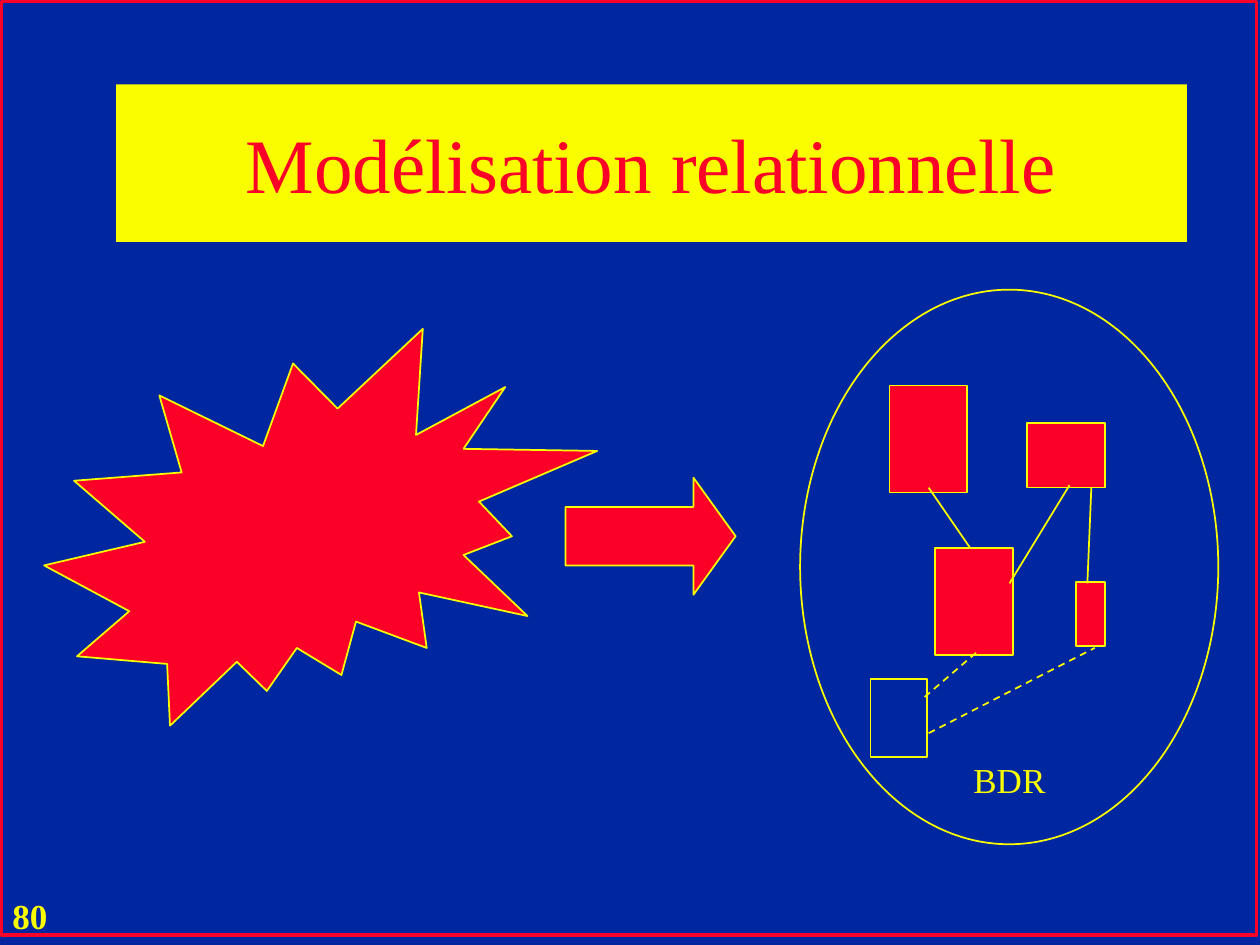
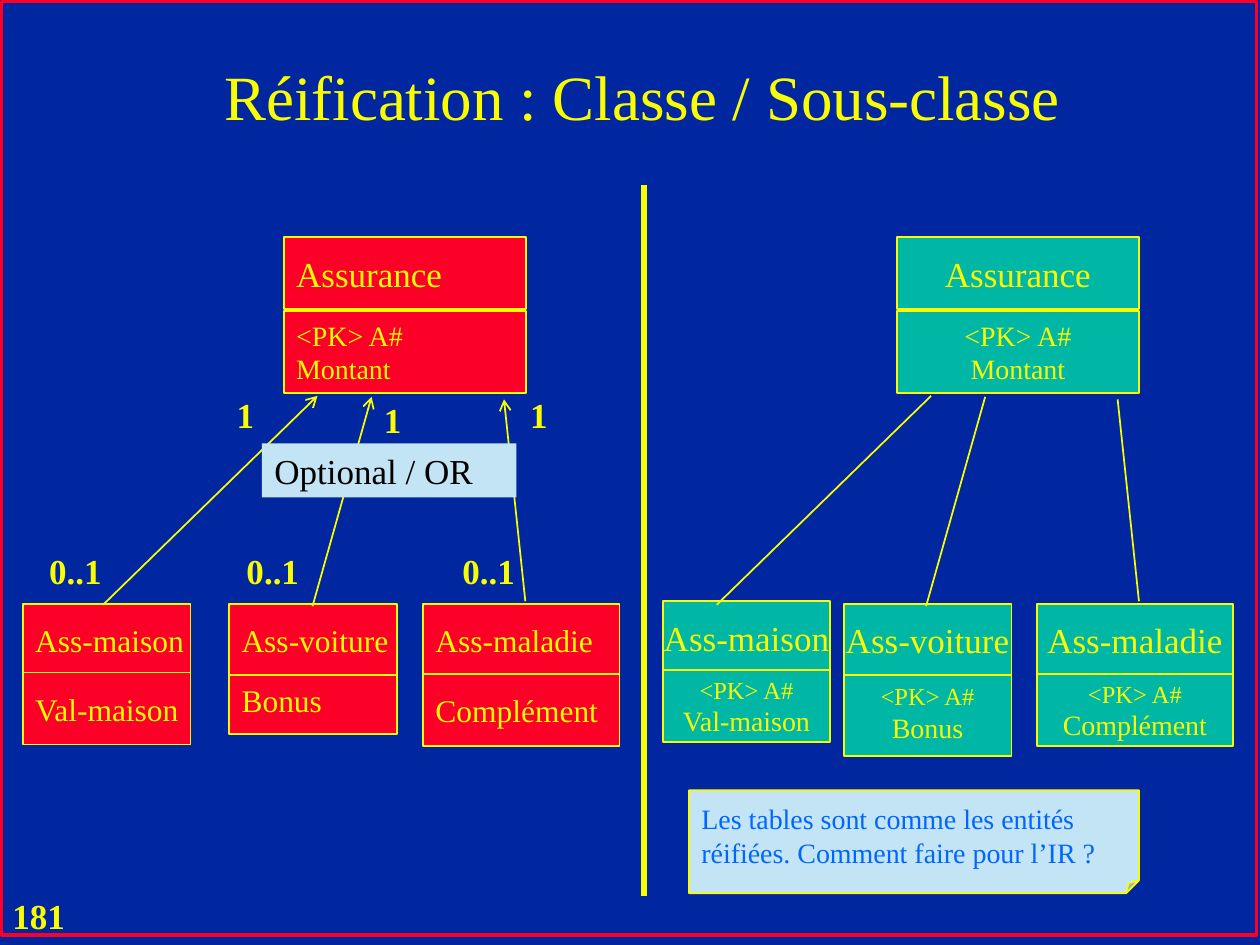
from dataclasses import dataclass
from typing import NamedTuple, Optional

from lxml import etree
from pptx import Presentation
from pptx import util as u
from pptx.dml.color import RGBColor
from pptx.enum import dml, shapes, text
from pptx.oxml import ns


@dataclass(frozen=True)
class Theme:
    font: str = "Times New Roman"
    background: str = "00279F"
    yellow: str = "FAFD00"
    red: str = "FC0128"
    teal: str = "00B7A5"
    pale: str = "C3E4F5"
    black: str = "000000"
    blue: str = "0066FF"
    banner_size: int = 44
    title_size: int = 36
    label_size: int = 20
    child_size: int = 18
    detail_size: int = 16
    key_size: int = 14


THEME = Theme()
SHAPE = shapes.MSO_SHAPE
LEFT, CENTER = text.PP_ALIGN.LEFT, text.PP_ALIGN.CENTER
TOP, MIDDLE = text.MSO_ANCHOR.TOP, text.MSO_ANCHOR.MIDDLE


class Area(NamedTuple):
    """Left, top, width and height in centimetres."""
    left: float
    top: float
    width: float
    height: float

    def lengths(self) -> list:
        return [u.Cm(value) for value in self]


class Line(NamedTuple):
    """End points in centimetres."""
    x1: float
    y1: float
    x2: float
    y2: float


class Words(NamedTuple):
    content: str
    size: int = THEME.label_size
    color: str = THEME.yellow
    bold: bool = False


@dataclass(frozen=True)
class Entity:
    """A class box: a name cell above an attribute cell."""
    left: float
    top: float
    width: float
    name: Words
    attributes: tuple
    body_top: float
    body_height: float = 1.45
    body_anchor: text.MSO_ANCHOR = MIDDLE


NAME_HEIGHT = 1.45
SIDE_SHIFT = 12.37  # from the class diagram to the table diagram


def write(shape, lines, align=LEFT, anchor=MIDDLE) -> None:
    frame = shape.text_frame
    frame.word_wrap = False
    frame.vertical_anchor = anchor
    frame.text = "\n".join(line.content for line in lines)
    for paragraph, line in zip(frame.paragraphs, lines):
        paragraph.alignment = align
        for run in paragraph.runs:
            run.font.name = THEME.font
            run.font.size = u.Pt(line.size)
            run.font.bold = line.bold
            run.font.color.rgb = RGBColor.from_string(line.color)


def add_label(slide, area: Area, words: Words, align=LEFT, anchor=TOP) -> None:
    write(slide.shapes.add_textbox(*area.lengths()), [words], align, anchor)


def add_figure(slide, kind, area: Area, fill: Optional[str] = None,
               line: Optional[str] = THEME.yellow, weight: float = 1):
    shape = slide.shapes.add_shape(kind, *area.lengths())
    shape.shadow.inherit = False
    if fill:
        shape.fill.solid()
        shape.fill.fore_color.rgb = RGBColor.from_string(fill)
    else:
        shape.fill.background()
    if line:
        shape.line.color.rgb = RGBColor.from_string(line)
        shape.line.width = u.Pt(weight)
    else:
        shape.line.fill.background()
    return shape


def set_fold(shape, share: float) -> None:
    """Set the folded corner's size as a share of the shorter side."""
    guides = shape._element.spPr.find(ns.qn("a:prstGeom")).get_or_add_avLst()
    guide = etree.SubElement(guides, ns.qn("a:gd"))
    guide.set("name", "adj")
    guide.set("fmla", f"val {round(share * 100000)}")


def add_line(slide, ends: Line, weight: float = 1, dashed: bool = False,
             arrow: bool = False) -> None:
    """Draw a line; an arrow points at its first end."""
    connector = slide.shapes.add_connector(
        shapes.MSO_CONNECTOR.STRAIGHT, *[u.Cm(value) for value in ends])
    connector.line.color.rgb = RGBColor.from_string(THEME.yellow)
    connector.line.width = u.Pt(weight)
    if dashed:
        connector.line.dash_style = dml.MSO_LINE.DASH
    if arrow:
        head = etree.SubElement(connector.line._get_or_add_ln(), ns.qn("a:headEnd"))
        head.set("type", "arrow")
    etree.SubElement(connector._element.spPr, ns.qn("a:effectLst"))


def add_entity(slide, entity: Entity, fill: str, align) -> None:
    name_area = Area(entity.left, entity.top, entity.width, NAME_HEIGHT)
    body_area = Area(entity.left, entity.body_top, entity.width, entity.body_height)
    for area, lines, anchor in ((name_area, [entity.name], MIDDLE),
                                (body_area, entity.attributes, entity.body_anchor)):
        write(add_figure(slide, SHAPE.RECTANGLE, area, fill), lines, align, anchor)


def add_slide(presentation, number: str):
    """Add a slide with the shared background, page number and frame."""
    slide = presentation.slides.add_slide(presentation.slide_layouts[6])
    slide.background.fill.solid()
    slide.background.fill.fore_color.rgb = RGBColor.from_string(THEME.background)
    add_label(slide, Area(0, 17.91, 1.75, 1.09), Words(number, bold=True))
    add_figure(slide, SHAPE.RECTANGLE, Area(0.03, 0.03, 25.3, 18.82),
               line=THEME.red, weight=2)
    return slide


def build_relational_model(presentation) -> None:
    slide = add_slide(presentation, "80")
    banner = add_figure(slide, SHAPE.RECTANGLE, Area(2.34, 1.7, 21.59, 3.18),
                        THEME.yellow, line=None)
    write(banner, [Words("Modélisation relationnelle", THEME.banner_size, THEME.red)],
          CENTER)

    add_figure(slide, SHAPE.EXPLOSION2, Area(0.89, 6.63, 11.15, 8), THEME.red)
    arrow = add_figure(slide, SHAPE.RIGHT_ARROW, Area(11.4, 9.63, 3.43, 2.36), THEME.red)
    arrow.adjustments[1] = 0.36

    for table in (Area(17.93, 7.77, 1.57, 2.16), Area(20.7, 8.53, 1.57, 1.3),
                  Area(18.85, 11.05, 1.57, 2.16), Area(21.69, 11.73, 0.58, 1.3)):
        add_figure(slide, SHAPE.RECTANGLE, table, THEME.red)
    for link in (Line(18.72, 9.83, 19.56, 11.05), Line(20.35, 11.76, 21.56, 9.78),
                 Line(22, 9.83, 21.92, 11.76)):
        add_line(slide, link)

    add_figure(slide, SHAPE.OVAL, Area(16.13, 5.84, 8.43, 11.18))
    add_label(slide, Area(19.35, 15.16, 2, 1.09), Words("BDR"), CENTER, MIDDLE)
    add_figure(slide, SHAPE.RECTANGLE, Area(17.55, 13.69, 1.14, 1.57))
    for link in (Line(18.64, 14.05, 19.71, 13.13), Line(18.72, 14.78, 22.07, 13.06)):
        add_line(slide, link, dashed=True)


def build_subclasses(presentation) -> None:
    slide = add_slide(presentation, "181")
    add_label(slide, Area(2.16, 0.33, 21.59, 3.18),
              Words("Réification : Classe / Sous-classe", THEME.title_size),
              CENTER, MIDDLE)

    key = Words("<PK> A#", THEME.key_size)
    insurance = (Words("<PK> A#", THEME.detail_size), Words("Montant", THEME.detail_size))
    classes = (
        Entity(5.72, 4.78, 4.88, Words("Assurance"), insurance, 6.27, 1.65),
        Entity(0.46, 12.17, 3.38, Words("Ass-maison", THEME.child_size),
               (Words("Val-maison", THEME.child_size),), 13.56),
        Entity(4.62, 12.17, 3.38, Words("Ass-voiture", THEME.child_size),
               (Words("Bonus", THEME.child_size),), 13.61, 1.19, TOP),
        Entity(8.53, 12.17, 3.96, Words("Ass-maladie", THEME.child_size),
               (Words("Complément", THEME.child_size),), 13.59),
    )
    tables = (
        Entity(18.08, 4.78, 4.88, Words("Assurance"), insurance, 6.27, 1.65),
        Entity(13.36, 12.12, 3.38, Words("Ass-maison"),
               (key, Words("Val-maison", THEME.detail_size)), 13.51),
        Entity(17.01, 12.17, 3.38, Words("Ass-voiture"),
               (key, Words("Bonus", THEME.detail_size)), 13.61, 1.63, TOP),
        Entity(20.9, 12.17, 3.96, Words("Ass-maladie"),
               (key, Words("Complément", THEME.detail_size)), 13.59),
    )
    for entities, fill, align in ((tables, THEME.teal, CENTER), (classes, THEME.red, LEFT)):
        for entity in entities:
            add_entity(slide, entity, fill, align)

    for link in (Line(6.4, 7.98, 2.08, 12.19), Line(7.49, 8, 6.3, 12.22),
                 Line(10.16, 8.05, 10.59, 12.12)):
        add_line(slide, link, arrow=True)
        add_line(slide, Line(link.x1 + SIDE_SHIFT, link.y1, link.x2 + SIDE_SHIFT, link.y2))

    constraint = add_figure(slide, SHAPE.RECTANGLE, Area(5.28, 8.94, 5.13, 1.09),
                            THEME.pale, line=None)
    write(constraint, [Words("Optional / OR", color=THEME.black)])
    add_line(slide, Line(12.98, 3.73, 12.98, 18.06), weight=3)

    note = add_figure(slide, SHAPE.FOLDED_CORNER, Area(13.89, 15.93, 9.07, 2.08), THEME.pale)
    set_fold(note, 0.125)
    write(note, [Words(line, THEME.detail_size, THEME.blue) for line in
                 ("Les tables sont comme les entités", "réifiées. Comment faire pour l’IR ?")])

    for left in (0.74, 4.72, 9.07):
        add_label(slide, Area(left, 10.95, 1.57, 1.09), Words("0..1", bold=True))
    for left, top in ((4.52, 7.8), (7.49, 7.9), (10.44, 7.8)):
        add_label(slide, Area(left, top, 0.86, 1.09), Words("1", bold=True))


def main() -> None:
    presentation = Presentation()
    presentation.slide_width = u.Cm(25.4)
    presentation.slide_height = u.Cm(19.05)
    build_relational_model(presentation)
    build_subclasses(presentation)
    presentation.save("out.pptx")


if __name__ == "__main__":
    main()
